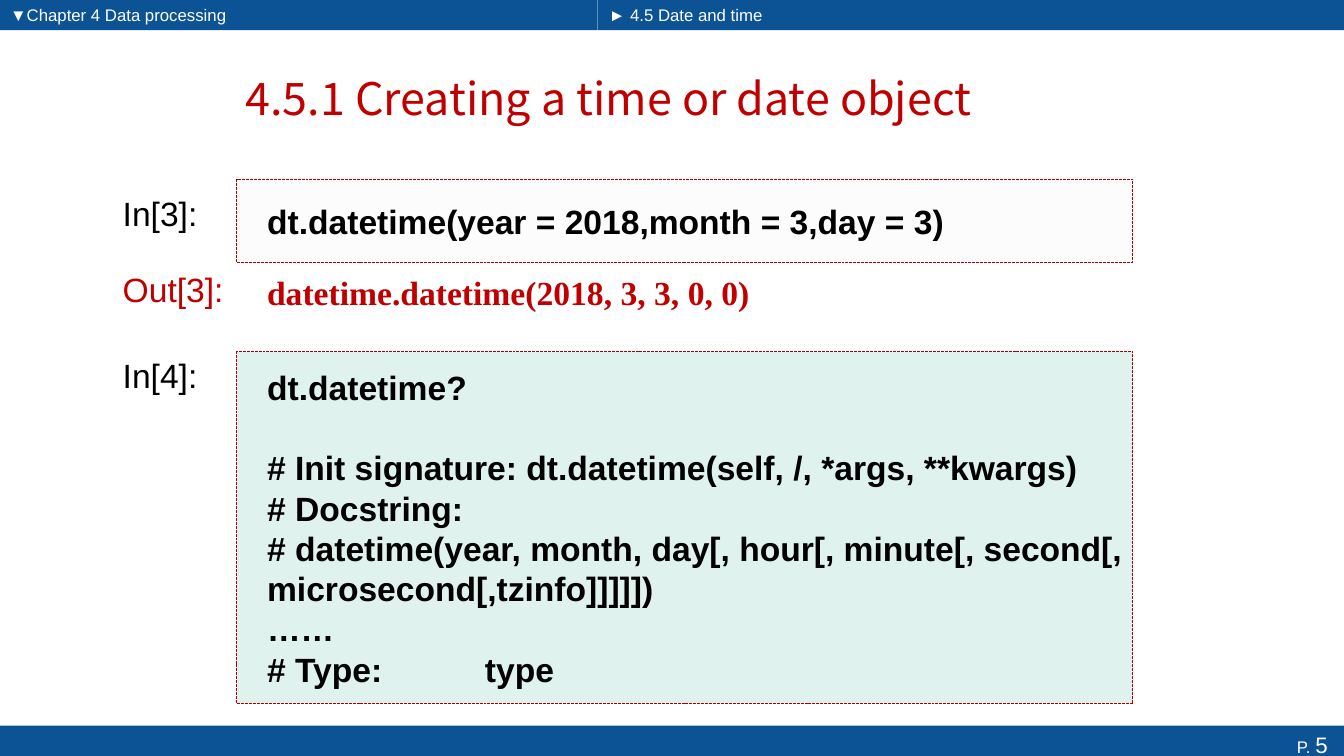
from lxml.etree import SubElement
from pptx import Presentation
from pptx.dml.color import RGBColor
from pptx.enum.dml import MSO_LINE
from pptx.enum.shapes import MSO_SHAPE as Shape
from pptx.enum.text import MSO_ANCHOR as Anchor, MSO_AUTO_SIZE as AutoSize, PP_ALIGN as Align
from pptx.oxml.ns import qn
from pptx.util import Pt

COLORS = {"bar": "0B5394", "red": "C00000", "border": "AB0000", "ink": "000000",
          "white": "FFFFFF", "plain": "F1EEF4", "green": "0C9B74"}
CODE_LEFT, CODE_WIDTH, CODE_INSET = 169.2, 640.1, 21.6
LINE_PITCH = 28.8
HELP_LINES = [
    "dt.datetime?",
    "# Init signature: dt.datetime(self, /, *args, **kwargs)",
    "# Docstring:",
    "# datetime(year, month, day[, hour[, minute[, second[, microsecond[,tzinfo]]]]])",
    "……",
    "# Type:\ttype",
]


class NotebookPage:
    """Hold the style and the current slide, and draw its elements."""

    def __init__(self, deck):
        self.page = deck.slides.add_slide(deck.slide_layouts[3])
        self.title = self.page.shapes.title

    def color(self, name):
        return RGBColor.from_string(COLORS[name])

    def style(self, para, size, color, face="Arial", bold=False):
        font = para.font
        font.size, font.name, font.bold = Pt(size), face, bold
        font.color.rgb = self.color(color)

    def rectangle(self, left, top, width, height, fill):
        box = self.page.shapes.add_shape(
            Shape.RECTANGLE, Pt(left), Pt(top), Pt(width), Pt(height))
        box.shadow.inherit = False
        box.fill.solid()
        box.fill.fore_color.rgb = self.color(fill)
        box.line.fill.background()
        return box

    def bar(self, left, top, width, height):
        box = self.rectangle(left, top, width, height, "bar")
        self.title.element.addprevious(box.element)
        return box

    def footer(self, number):
        frame = self.bar(0, 518.4, 960, 26.6).text_frame
        frame.vertical_anchor = Anchor.TOP
        frame.margin_right = Pt(11.6)
        para = frame.paragraphs[0]
        para.alignment = Align.RIGHT
        self.style(para, 12, "white")
        para.add_run().text = "P. "
        span = para.add_run()
        span.text = number
        span.font.size = Pt(16)

    def place(self, box, left, top, width, height, text):
        box.left, box.top, box.width, box.height = Pt(left), Pt(top), Pt(width), Pt(height)
        frame = box.text_frame
        frame.text = text
        frame.auto_size = AutoSize.NONE
        return frame

    def heading(self, text):
        frame = self.place(self.title, 49, 37.4, 771.8, 64.8, text)
        frame.vertical_anchor = Anchor.MIDDLE
        para = frame.paragraphs[0]
        para.alignment = Align.CENTER
        self.style(para, 32, "red", "Noto Sans CJK SC")

    def breadcrumb(self, index, left, width, text):
        frame = self.place(self.page.placeholders[index], left, 0, width, 20.9, text)
        para = frame.paragraphs[0]
        properties = para._p.get_or_add_pPr()
        properties.set("marL", "0")
        properties.set("indent", "0")
        SubElement(properties, qn("a:buNone"))
        para.space_before = Pt(0)
        self.style(para, 12, "white")

    def label(self, top, text, color="ink"):
        box = self.page.shapes.add_textbox(Pt(80.6), Pt(top), Pt(90), Pt(36))
        box.text_frame.text = text
        self.style(box.text_frame.paragraphs[0], 24, color)

    def code(self, top, height, fill, lines):
        box = self.rectangle(CODE_LEFT, top, CODE_WIDTH, height, fill)
        SubElement(box.fill._xPr.find(".//" + qn("a:srgbClr")), qn("a:alpha"), val="13000")
        box.line.color.rgb = self.color("border")
        box.line.width = Pt(0.7)
        box.line.dash_style = MSO_LINE.SQUARE_DOT
        frame = box.text_frame
        frame.margin_left = Pt(CODE_INSET)
        frame.vertical_anchor = Anchor.MIDDLE
        frame.text = "\n".join(lines)
        for para in frame.paragraphs:
            para.alignment = Align.LEFT
            para.line_spacing = Pt(LINE_PITCH)
            if "\t" in para.text:
                tabs = SubElement(para._p.get_or_add_pPr(), qn("a:tabLst"))
                SubElement(tabs, qn("a:tab"), pos=str(Pt(155.6)), algn="l")
            self.style(para, 24, "ink", bold=True)
        return frame

    def output(self, top, text):
        box = self.page.shapes.add_textbox(Pt(CODE_LEFT), Pt(top), Pt(629.3), Pt(46.8))
        frame = box.text_frame
        frame.word_wrap = True
        frame.margin_left = Pt(CODE_INSET)
        frame.vertical_anchor = Anchor.MIDDLE
        frame.text = text
        self.style(frame.paragraphs[0], 24, "red", "Times New Roman", True)


def main():
    deck = Presentation()
    deck.slide_width, deck.slide_height = Pt(960), Pt(540)
    page = NotebookPage(deck)
    page.bar(0, 0, 426.9, 21.6)
    page.footer("5")
    page.bar(427.3, 0, 532.7, 21.6)
    page.heading("4.5.1 Creating a time or date object")
    page.breadcrumb(1, 0, 347.8, "▼Chapter 4 Data processing")
    page.breadcrumb(2, 427.7, 171.4, "► 4.5 Date and time")
    page.label(133.9, "In[3]:")
    page.code(128.2, 59, "plain", ["dt.datetime(year = 2018,month = 3,day = 3)"])
    page.label(250.2, "In[4]:")
    help_frame = page.code(251.3, 251.3, "green", HELP_LINES)
    help_frame.paragraphs[1].space_before = Pt(LINE_PITCH)
    page.label(188.3, "Out[3]:", "red")
    page.output(185, "datetime.datetime(2018, 3, 3, 0, 0)")
    deck.save("out.pptx")


if __name__ == "__main__":
    main()
